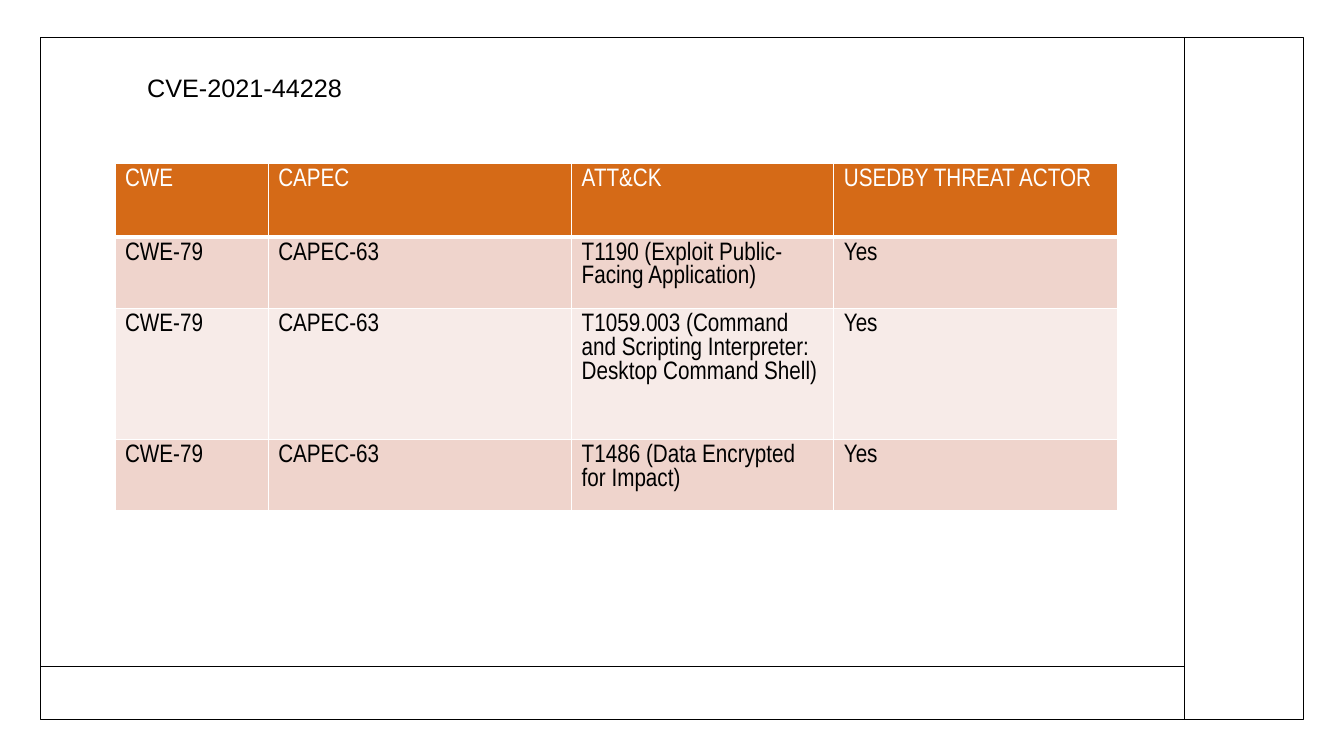
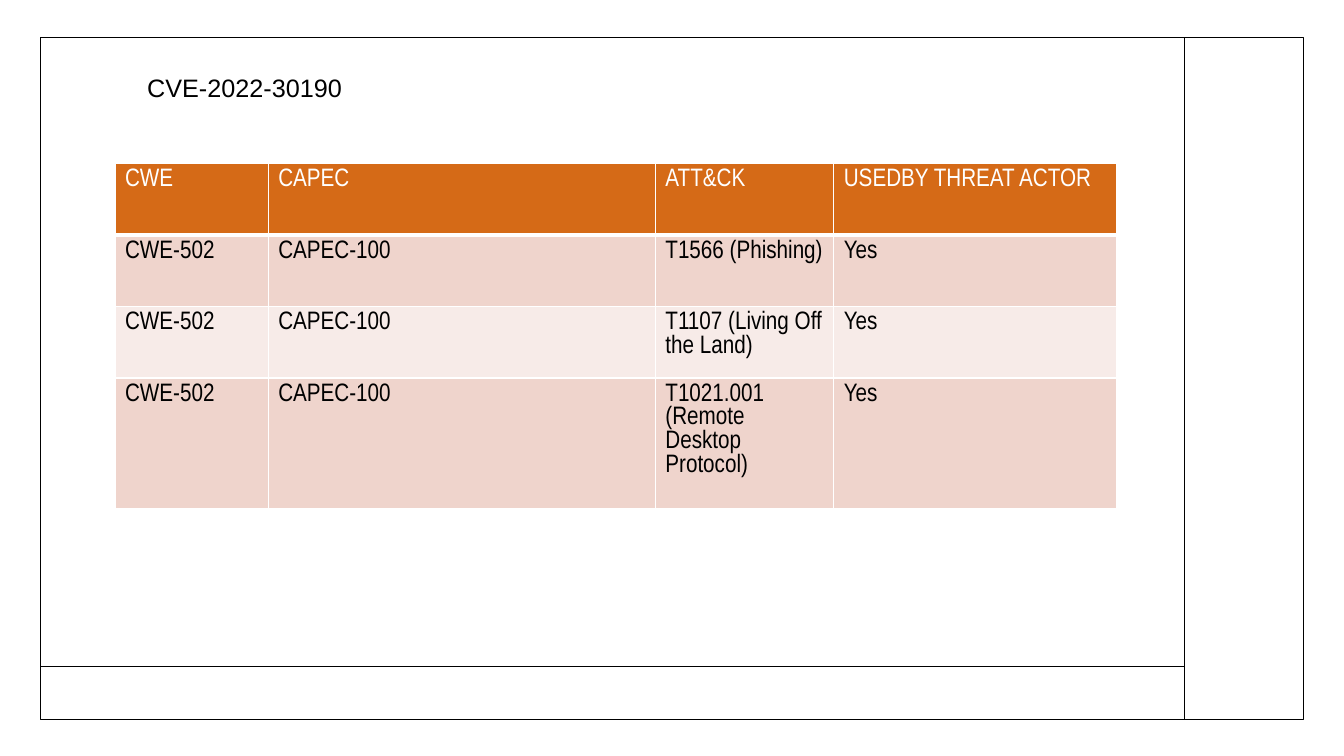
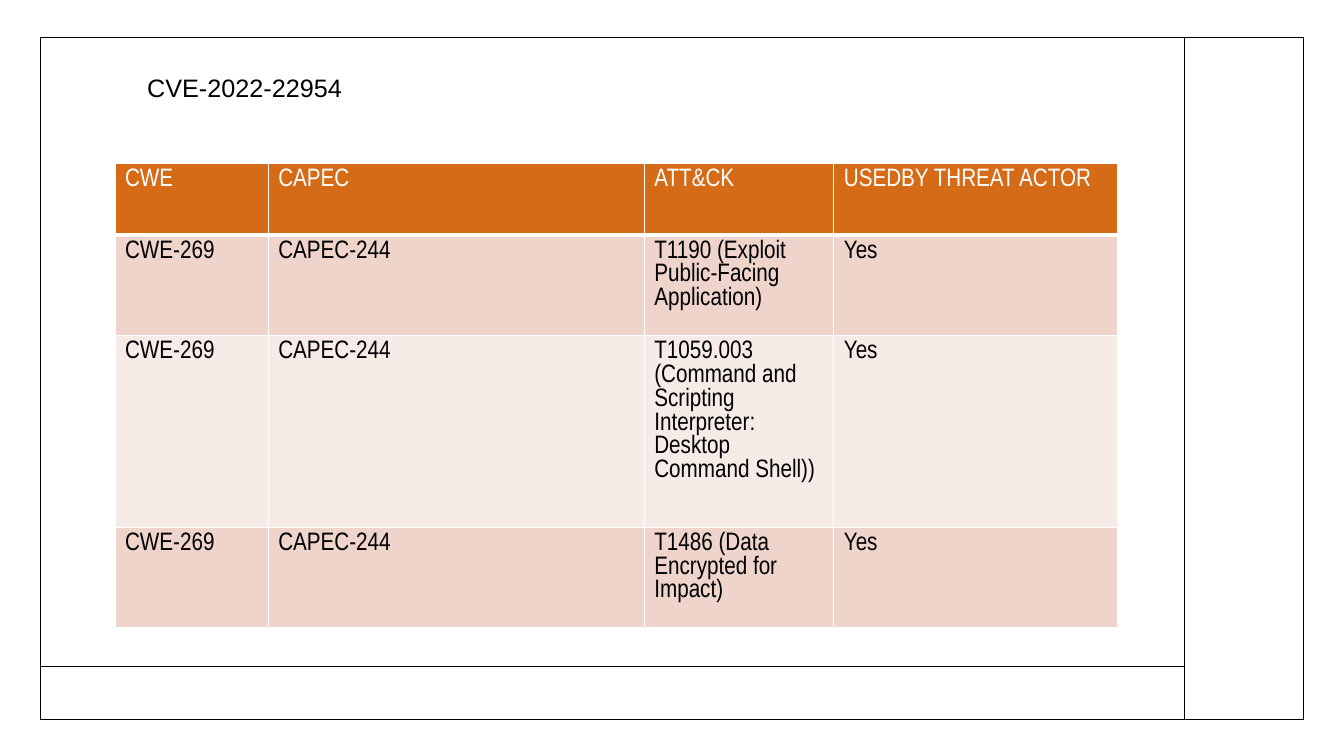
import lxml.etree
import pptx
import pptx.dml.color
import pptx.enum.shapes
import pptx.enum.text
import pptx.oxml.ns
import pptx.util

SCALE = 9144  # EMU in one px, 100 px to the inch
BLACK, WHITE, ORANGE = "000000", "FFFFFF", "D56A17"
BANDS = ["EFD4CC", "F7EBE8"]
HEADS = ["CWE", "CAPEC", "ATT&CK", "USEDBY THREAT ACTOR"]
FIRST, MIDDLE, LAST = 152, 561, 281  # widths; CAPEC and ATT&CK share the middle


def px(*nums):
    return [pptx.util.Emu(num * SCALE) for num in nums]


def rgb(code):
    return pptx.dml.color.RGBColor.from_string(code)


# title, CWE, CAPEC, CAPEC width, row heights, techniques
DATA = [
    ("CVE-2021-44228", "CWE-79", "CAPEC-63", 301, [73, 71, 130, 71],
     ["T1190 (Exploit Public-Facing Application)",
      "T1059.003 (Command and Scripting Interpreter: Desktop Command Shell)",
      "T1486 (Data Encrypted for Impact)"]),
    ("CVE-2022-30190", "CWE-502", "CAPEC-100", 384, [71, 71, 71, 130],
     ["T1566 (Phishing)",
      "T1107 (Living Off the Land)",
      "T1021.001 (Remote Desktop Protocol)"]),
    ("CVE-2022-22954", "CWE-269", "CAPEC-244", 373, [71, 100, 190, 100],
     ["T1190 (Exploit Public-Facing Application)",
      "T1059.003 (Command and Scripting Interpreter: Desktop Command Shell))",
      "T1486 (Data Encrypted for Impact)"]),
]

deck = pptx.Presentation()
deck.slide_width, deck.slide_height = px(1333, 750)
layout = deck.slide_layouts[5]
slides = [deck.slides.add_slide(layout) for item in DATA]

# Frame and rules, drawn once and moved to the shared layout
shapes = slides[0].shapes
frame = shapes.add_shape(pptx.enum.shapes.MSO_SHAPE.RECTANGLE, *px(40, 37, 1253, 677))
frame.shadow.inherit = False
frame.fill.background()
parts = [frame]
for ends in [(1175, 37, 1175, 713), (41, 661, 1175, 661)]:
    rule = shapes.add_connector(pptx.enum.shapes.MSO_CONNECTOR.STRAIGHT, *px(*ends))
    lxml.etree.SubElement(rule.element.spPr, pptx.oxml.ns.qn("a:effectLst"))
    parts.append(rule)
for part in parts:
    part.line.color.rgb = rgb(BLACK)
    part.line.width = pptx.util.Pt(1)
    layout.shapes.element.append(part.element)

for slide, (name, cwe, capec, width, heights, techs) in zip(slides, DATA):
    # Title
    title = slide.shapes.title
    title.left, title.top, title.width, title.height = px(136, 64, 704, 50)
    text = title.text_frame
    text.text = name
    text.auto_size = pptx.enum.text.MSO_AUTO_SIZE.NONE
    text.vertical_anchor = pptx.enum.text.MSO_ANCHOR.TOP
    text.margin_top = px(8)[0]
    line = text.paragraphs[0]
    line.alignment = pptx.enum.text.PP_ALIGN.LEFT
    line.font.name = "Arial"
    line.font.size = pptx.util.Pt(18)
    line.font.color.rgb = rgb(BLACK)

    # Table
    rows = [HEADS] + [[cwe, capec, tech, "Yes"] for tech in techs]
    grid = slide.shapes.add_table(
        len(rows), len(HEADS), *px(114, 162, FIRST + MIDDLE + LAST, sum(heights))).table
    for col, size in zip(grid.columns, px(FIRST, width, MIDDLE - width, LAST)):
        col.width = size
    for row, size in zip(grid.rows, px(*heights)):
        row.height = size

    # Cells
    for r, row in enumerate(rows):
        for c, word in enumerate(row):
            cell = grid.cell(r, c)
            cell.text = word
            font = cell.text_frame.paragraphs[0].font
            font.name = "Arial Narrow"
            font.size = pptx.util.Pt(18)
            font.bold = False
            font.color.rgb = rgb(BLACK if r else WHITE)
            props = cell._tc.get_or_add_tcPr()
            for side in "LRTB":
                points = 3 if r == 0 and side == "B" else 1
                edge = lxml.etree.SubElement(
                    props, pptx.oxml.ns.qn("a:ln" + side), w=str(pptx.util.Pt(points)))
                fill = lxml.etree.SubElement(edge, pptx.oxml.ns.qn("a:solidFill"))
                lxml.etree.SubElement(fill, pptx.oxml.ns.qn("a:srgbClr"), val=WHITE)
            cell.fill.solid()
            cell.fill.fore_color.rgb = rgb(BANDS[(r - 1) % 2] if r else ORANGE)

deck.save("out.pptx")
